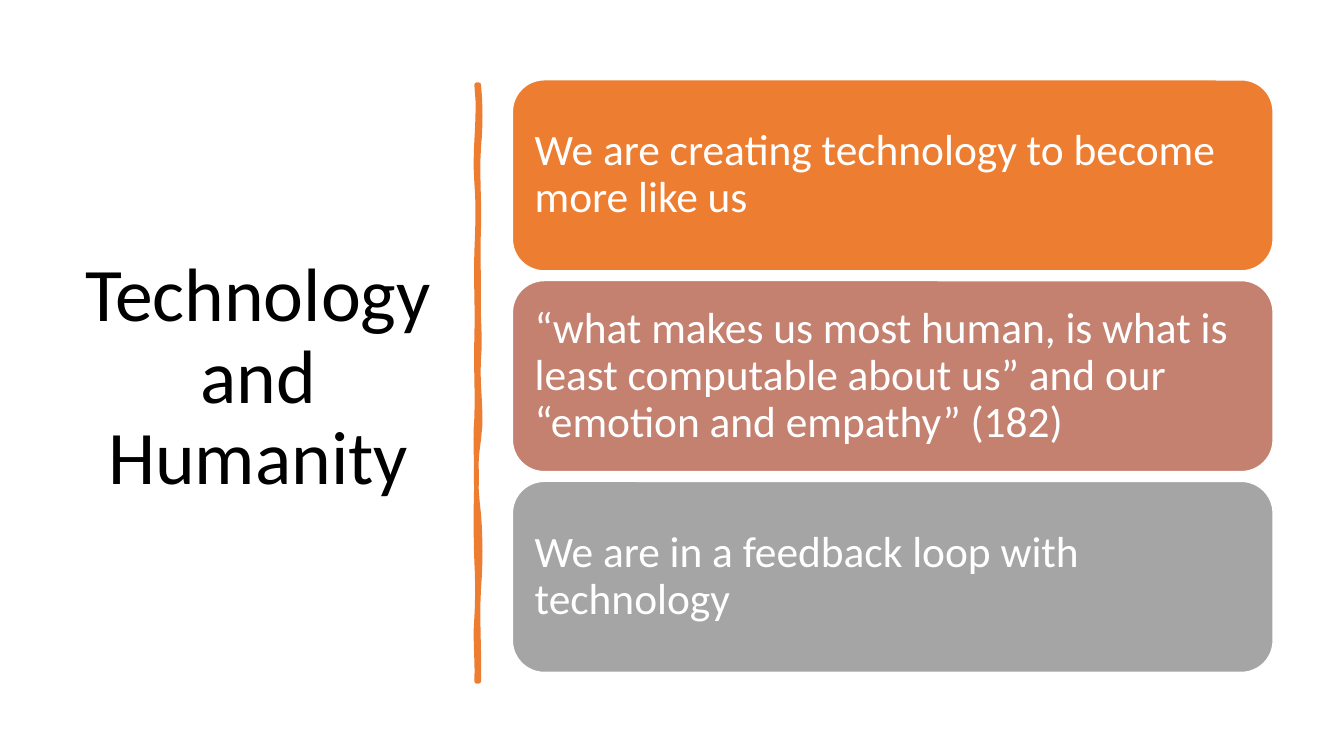
"""Build the slide "Technology and Humanity" with a wavy divider and three cards."""
from pptx import Presentation
from pptx.dml.color import RGBColor
from pptx.enum.shapes import MSO_SHAPE
from pptx.enum.text import MSO_ANCHOR, MSO_AUTO_SIZE, PP_ALIGN
from pptx.util import Pt

ROUNDED = MSO_SHAPE.ROUNDED_RECTANGLE
MIDDLE = MSO_ANCHOR.MIDDLE
NO_FIT = MSO_AUTO_SIZE.NONE
LEFT, CENTER = PP_ALIGN.LEFT, PP_ALIGN.CENTER
COLORS = {"black": "000000", "white": "FFFFFF", "orange": "ED7D31",
          "rose": "C48170", "gray": "A5A5A5"}
TITLE_ONLY = 5


def write(shape, text, size, color, align, inset):
    """Put one formatted paragraph into a shape."""
    frame = shape.text_frame
    frame.text = text
    frame_format = {"word_wrap": True, "auto_size": NO_FIT, "vertical_anchor": MIDDLE,
                    "margin_left": inset, "margin_right": inset,
                    "margin_top": inset, "margin_bottom": inset}
    for attribute, value in frame_format.items():
        setattr(frame, attribute, value)
    paragraph = frame.paragraphs[0]
    paragraph.alignment = align
    paragraph.line_spacing = 0.9
    font = paragraph.runs[0].font
    font.name, font.size = "Calibri", Pt(size)
    font.color.rgb = RGBColor.from_string(COLORS[color])


def paint(shape, fill, line, width):
    """Give a shape a fill and an outline without a shadow."""
    shape.shadow.inherit = False
    shape.fill.solid()
    shape.fill.fore_color.rgb = RGBColor.from_string(COLORS[fill])
    shape.line.color.rgb = RGBColor.from_string(COLORS[line])
    shape.line.width = Pt(width)


prs = Presentation()
prs.slide_width, prs.slide_height = Pt(960), Pt(540)
slide = prs.slides.add_slide(prs.slide_layouts[TITLE_ONLY])

title = slide.shapes.title
title.left, title.top, title.width, title.height = Pt(49.7), Pt(50.4), Pt(269.3), Pt(440)
write(title, "Technology and Humanity", 54, "black", CENTER, Pt(7.2))

divider_top, divider_bottom = 60.5, 486.7
right_edge = [(1.4, 1.4, 105.1), (-1.4, 0.7, 162.7), (-0.7, 0, 211.7), (-0.7, 1.4, 256.3),
              (-1.4, 2.9, 313.9), (-2.9, -2.2, 367.2), (1.4, 1.4, 420.5),
              (-1.4, 0.7, divider_bottom)]
left_edge = [(0.7, -1.4, 441.4), (0.7, 0.7, 401), (-0.7, -0.7, 343.4), (0, -1.4, 298.8),
             (0.7, -0.7, 241.2), (0.7, -0.7, 180), (0.7, 1.4, 130.3),
             (-2.2, 2.9, divider_top)]
outline = []
y = divider_top
for edge_x, waves in ((342, right_edge), (340.5, left_edge)):
    outline.append((Pt(edge_x), Pt(y)))
    for sway_in, sway_out, end_y in waves:
        for step in range(1, 7):
            t = step / 6
            sway = 3 * t * (1 - t) * ((1 - t) * sway_in + t * sway_out)
            outline.append((Pt(edge_x + sway), Pt(y + t * (end_y - y))))
        y = end_y
builder = slide.shapes.build_freeform(*outline[0])
builder.add_line_segments(outline[1:], close=True)
paint(builder.convert_to_shape(), "orange", "orange", 3.25)

cards = [
    ("We are creating technology to become more like us", "orange"),
    ("“what makes us most human, is what is least computable about us” "
     "and our “emotion and empathy” (182)", "rose"),
    ("We are in a feedback loop with technology", "gray"),
]
for row, (statement, color) in enumerate(cards):
    card = slide.shapes.add_shape(ROUNDED, Pt(366), Pt(57 + row * 143.4), Pt(543.4), Pt(136.5))
    paint(card, color, "white", 1)
    write(card, statement, 31, "white", LEFT, Pt(9.3))

prs.save("out.pptx")
